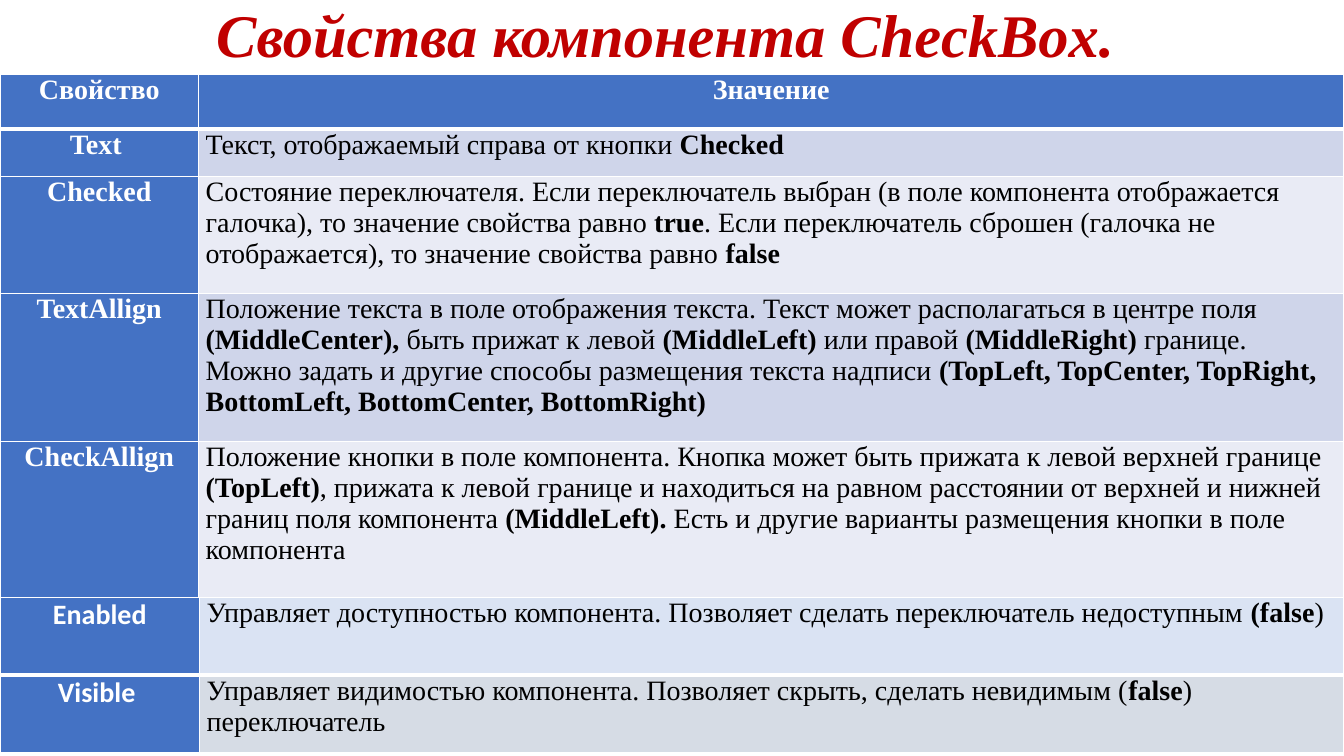
from lxml.etree import SubElement as Sub
from pptx import Presentation
from pptx.dml.color import RGBColor as Rgb
from pptx.enum.text import MSO_ANCHOR as Anchor, PP_ALIGN as Align
from pptx.oxml.ns import qn
from pptx.util import Inches as In, Pt

HUES = {"red": "C00000", "blue": "4472C4", "white": "FFFFFF", "black": "000000",
        "mid": "CFD5EA", "pale": "E9EBF5", "sky": "DAE3F3", "gray": "D6DCE5"}
SERIF, SANS = "Times New Roman", "Calibri"
WIDE, HIGH = 13.33, 7.5
EDGES = ("lnL", "lnR", "lnT", "lnB")

MAIN = [
    (0.54, "blue", "Свойство", "**Значение**"),
    (0.47, "mid", "Text ", "Текст, отображаемый справа от кнопки **Checked**"),
    (1.16, "pale", "Checked",
     "Состояние переключателя. Если переключатель выбран (в поле компонента "
     "отображается галочка), то значение свойства равно **true**. Если переключатель "
     "сброшен (галочка не отображается), то значение свойства равно **false**"),
    (1.47, "mid", "TextAllign",
     "Положение текста в поле отображения текста. Текст может располагаться в центре "
     "поля **(MiddleCenter), **быть прижат к левой **(MiddleLeft) **или правой "
     "**(MiddleRight) **границе. Можно задать и другие способы размещения текста надписи "
     "**(TopLeft, TopCenter, TopRight, BottomLeft, BottomCenter, BottomRight)**"),
    (1.55, "pale", "CheckAllign",
     "Положение кнопки в поле компонента. Кнопка может быть прижата к левой верхней "
     "границе **(TopLeft)**, прижата к левой границе и находиться на равном расстоянии от "
     "верхней и нижней границ поля компонента **(MiddleLeft). **Есть и другие варианты "
     "размещения кнопки в поле компонента"),
]
MORE = [
    (0.77, "sky", "Enabled",
     "Управляет доступностью компонента. Позволяет сделать переключатель "
     "недоступным **(false**)"),
    (0.77, "gray", "Visible ",
     "Управляет видимостью компонента. Позволяет скрыть, сделать невидимым "
     "(**false**) переключатель"),
]


def style(item, form):
    for name, value in form.items():
        setattr(item, name, value)


def write(para, text, hue, form):
    for i, part in enumerate(text.split("**")):
        if part:
            run = para.add_run()
            run.text = part
            style(run.font, {**form, "bold": i % 2 == 1})
            run.font.color.rgb = Rgb.from_string(HUES[hue])


def edge(cell, base):
    props = cell._tc.get_or_add_tcPr()
    for tag in EDGES:
        size = base if tag == "lnB" else 1
        line = Sub(props, qn("a:" + tag), w=str(Pt(size)))
        Sub(Sub(line, qn("a:solidFill")), qn("a:srgbClr"), val=HUES["white"])


def paint(cell, text, fill, ink, face, align, base):
    style(cell, {"margin_left": In(0.07), "margin_right": In(0.07),
                 "margin_top": 0, "margin_bottom": 0})
    edge(cell, base)
    cell.fill.solid()
    cell.fill.fore_color.rgb = Rgb.from_string(HUES[fill])
    para = cell.text_frame.paragraphs[0]
    para.alignment = align
    write(para, text, ink, {"size": Pt(20), "name": face})


def title(slide, box, text):
    frame = slide.shapes.add_textbox(*map(In, box)).text_frame
    style(frame, {"word_wrap": True, "vertical_anchor": Anchor.MIDDLE})
    para = frame.paragraphs[0]
    style(para, {"alignment": Align.CENTER, "line_spacing": 0.9})
    write(para, f"**{text}**", "red", {"size": Pt(43.2), "name": SERIF, "italic": True})


def grid(slide, box, rows, side, face):
    table = slide.shapes.add_table(len(rows), 2, *map(In, box)).table
    for col, width in zip(table.columns, (side, box[2] - side)):
        col.width = In(width)
    for i, (tall, fill, name, text) in enumerate(rows):
        table.rows[i].height = In(tall)
        base = 3 if i == 0 else 1
        head = fill == "blue"
        paint(table.cell(i, 0), f"**{name}**", "blue", "white", face, Align.CENTER, base)
        paint(table.cell(i, 1), text, fill, "white" if head else "black", SERIF,
              Align.CENTER if head else Align.LEFT, base)


def main():
    deck = Presentation()
    style(deck, {"slide_width": In(WIDE), "slide_height": In(HIGH)})
    slide = deck.slides.add_slide(deck.slide_layouts[6])
    title(slide, (0, 0.02, 13.2, 0.72), "Свойства компонента CheckBox.")
    top = 0.74
    for rows, side, face in ((MAIN, 1.97, SERIF), (MORE, 1.98, SANS)):
        tall = sum(row[0] for row in rows)
        grid(slide, (0, top, WIDE, tall), rows, side, face)
        top += tall
    deck.save("out.pptx")


if __name__ == "__main__":
    main()
